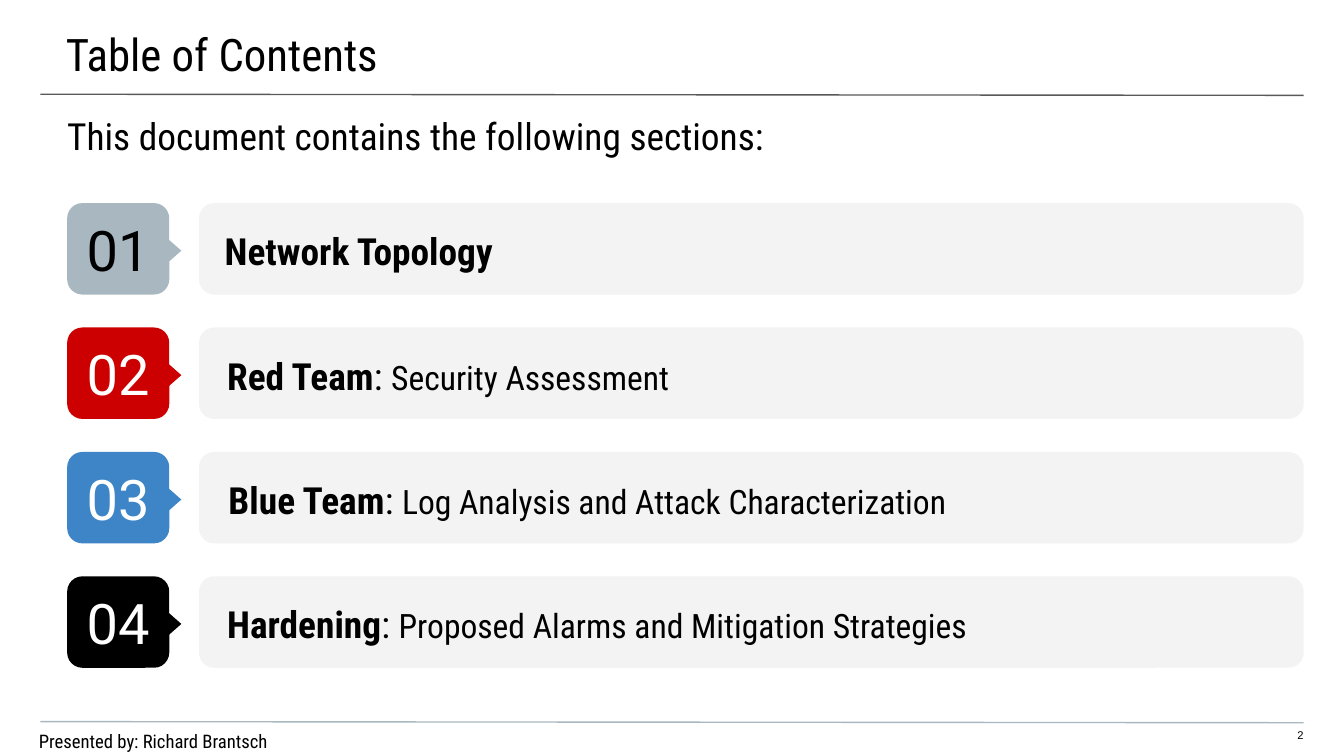
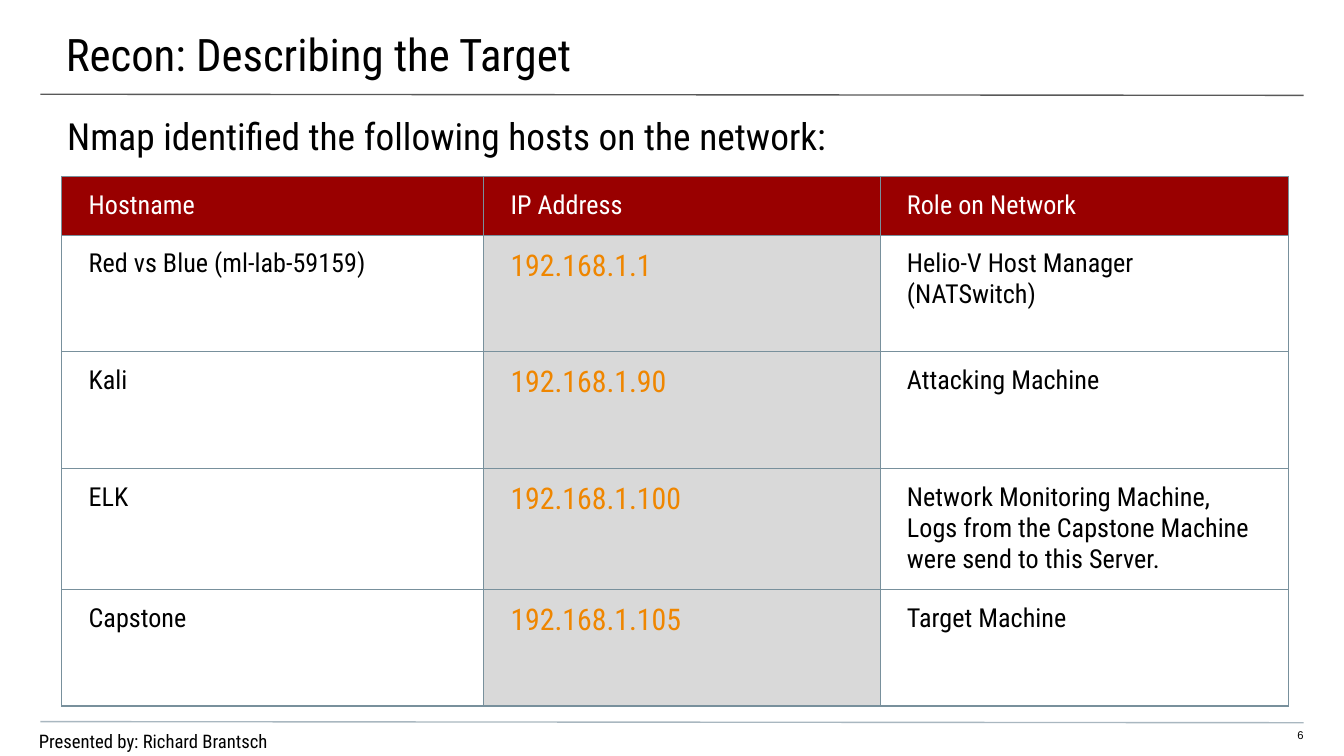
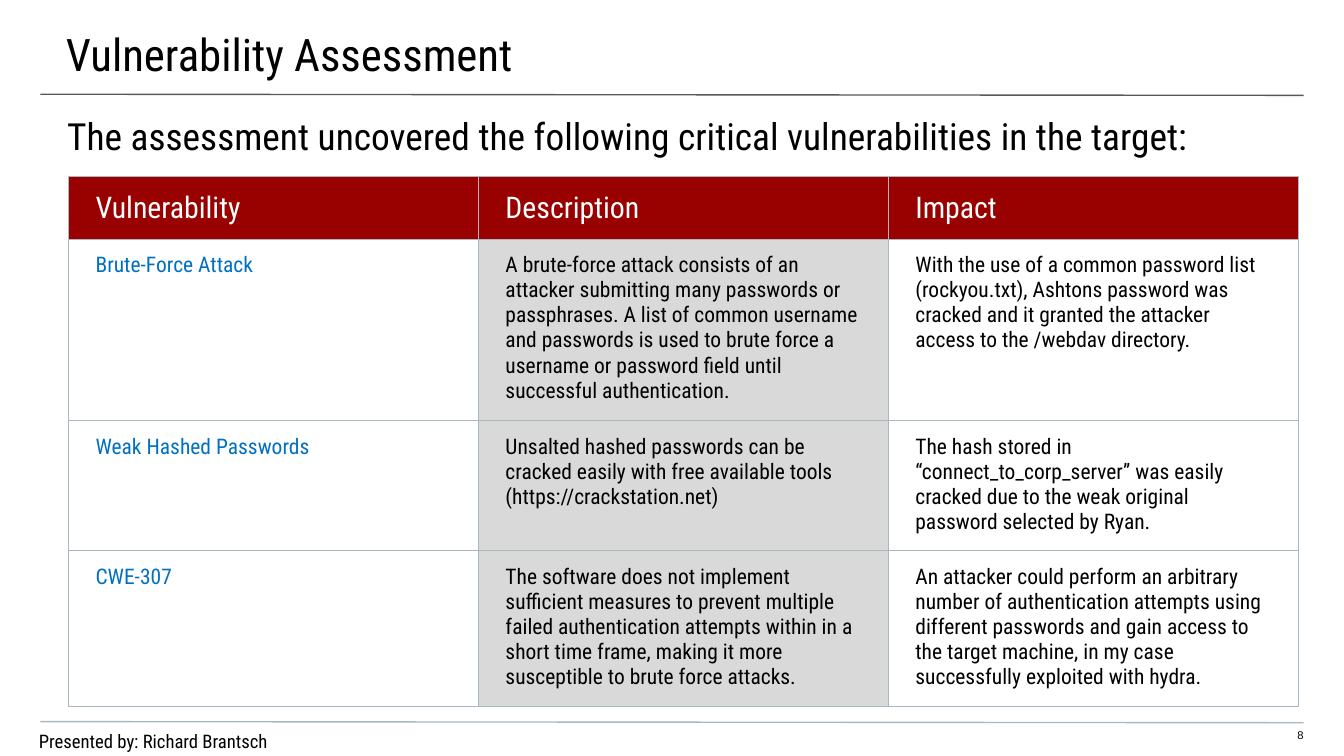
from dataclasses import dataclass

from pptx import Presentation
from pptx.dml.color import RGBColor as Rgb
from pptx.enum.shapes import MSO_CONNECTOR as Connector, MSO_SHAPE as Preset
from pptx.enum.text import MSO_ANCHOR as Anchor, PP_ALIGN as Align
from pptx.oxml import parse_xml
from pptx.oxml.ns import nsdecls
from pptx.util import Pt


@dataclass(frozen=True)
class Theme:
    black: str = "000000"
    white: str = "FFFFFF"
    title_rule: str = "595959"
    mist: str = "A9B7C0"
    panel: str = "F3F3F3"
    red: str = "CC0000"
    blue: str = "3D85C6"
    header: str = "990000"
    shaded: str = "D9D9D9"
    slate: str = "78909C"
    address: str = "EF8600"
    weakness: str = "0070C0"
    condensed: str = "Roboto Condensed"
    number: str = "Roboto"
    plain: str = "Arial"
    title_size: float = 24
    lead_size: float = 20
    detail_size: float = 18
    badge_size: float = 30
    footer_size: float = 10
    page_size: float = 6
    rule_width: float = 0.75


THEME = Theme()
PRESENTER = "Presented by: Richard Brantsch"

CONTENTS = {
    "title": "Table of Contents",
    "lead": "This document contains the following sections:",
    "page": "2",
    "sections": [
        ("01", "Network Topology", "", THEME.mist, THEME.black, -2),
        ("02", "Red Team", "Security Assessment", THEME.red, THEME.white, -0.7),
        ("03", "Blue Team", "Log Analysis and Attack Characterization", THEME.blue, THEME.white, 0),
        ("04", "Hardening", "Proposed Alarms and Mitigation Strategies", THEME.black, THEME.white, -0.7),
    ],
}

HOSTS = {
    "title": "Recon: Describing the Target",
    "lead": "Nmap identified the following hosts on the network:",
    "page": "6",
    "left": 33.1,
    "widths": [226, 212.4, 219],
    "heights": [31.4, 62.5, 62.5, 62.5, 62.5],
    "border": THEME.slate,
    "header_size": 14,
    "columns": [(14, THEME.black), (16, THEME.address), (14, THEME.black)],
    "rows": [
        ("Hostname", "IP Address", "Role on Network"),
        ("Red vs Blue (ml-lab-59159)", "192.168.1.1", "Helio-V Host Manager (NATSwitch)"),
        ("Kali", "192.168.1.90", "Attacking Machine"),
        ("ELK", "192.168.1.100",
         "Network Monitoring Machine, Logs from the Capstone Machine were send to this Server."),
        ("Capstone", "192.168.1.105", "Target Machine"),
    ],
}

VULNERABILITIES = {
    "title": "Vulnerability Assessment",
    "lead": "The assessment uncovered the following critical vulnerabilities in the target:",
    "page": "8",
    "left": 36.8,
    "widths": [219.6] * 3,
    "heights": [31, 62, 54, 54],
    "border": THEME.mist,
    "header_size": 16,
    "columns": [(11.5, THEME.weakness), (11.5, THEME.black), (11.5, THEME.black)],
    "rows": [
        ("Vulnerability", "Description", "Impact"),
        ("Brute-Force Attack",
         "A brute-force attack consists of an attacker submitting many passwords or passphrases. "
         "A list of common username and passwords is used to brute force a username or password "
         "field until successful authentication.",
         "With the use of a common password list (rockyou.txt), Ashtons password was cracked and "
         "it granted the attacker access to the /webdav directory."),
        ("Weak Hashed Passwords",
         "Unsalted hashed passwords can be cracked easily with free available tools "
         "(https://crackstation.net)",
         "The hash stored in “connect_to_corp_server” was easily cracked due to the weak original "
         "password selected by Ryan."),
        ("CWE-307",
         "The software does not implement sufficient measures to prevent multiple failed "
         "authentication attempts within in a short time frame, making it more susceptible to "
         "brute force attacks.",
         "An attacker could perform an arbitrary number of authentication attempts using different "
         "passwords and gain access to the target machine, in my case successfully exploited with "
         "hydra."),
    ],
}

SIDES = ("left", "top", "right", "bottom")
SECTION_TOP, SECTION_PITCH, SECTION_HEIGHT = 108.8, 66.65, 49
TABLE_TOP = 94.6


def points(*lengths):
    return [Pt(length) for length in lengths]


def assign(target, **formats):
    for attribute, value in formats.items():
        setattr(target, attribute, value)


def margins(*insets):
    return {f"margin_{side}": Pt(inset) for side, inset in zip(SIDES, insets)}


def write(paragraph, wording, size, color=THEME.black, face=THEME.condensed, bold=False):
    run = paragraph.add_run()
    run.text = wording
    assign(run.font, size=Pt(size), name=face, bold=bold)
    run.font.color.rgb = Rgb.from_string(color)


def add_text(slide, box, insets, runs, anchor=Anchor.TOP, **layout):
    frame = slide.shapes.add_textbox(*points(*box)).text_frame
    assign(frame, word_wrap=True, vertical_anchor=anchor, **margins(*insets))
    assign(frame.paragraphs[0], **layout)
    for run in runs:
        write(frame.paragraphs[0], **run)


def add_solid(shapes, preset, box, color):
    solid = shapes.add_shape(preset, *points(*box))
    solid.shadow.inherit = False
    solid.fill.solid()
    solid.fill.fore_color.rgb = Rgb.from_string(color)
    solid.line.fill.background()
    return solid


def add_rule(slide, top, color):
    rule = slide.shapes.add_connector(Connector.STRAIGHT, *points(21.6, top, 698.4, top + 0.6))
    rule.line.width = Pt(THEME.rule_width)
    rule.line.color.rgb = Rgb.from_string(color)
    rule._element.spPr.append(parse_xml(f"<a:effectLst {nsdecls('a')}/>"))


def add_page(deck, content):
    slide = deck.slides.add_slide(deck.slide_layouts[6])
    add_rule(slide, 50.5, THEME.title_rule)
    add_rule(slide, 386.6, THEME.mist)
    add_text(slide, (-0.7, 0, 722, 41.8), (36, 14.4, 21.6, 7.2),
             [dict(wording=content["title"], size=THEME.title_size)])
    add_text(slide, (0, 53.3, 720, 28.8), (36, 7.2, 36, 0),
             [dict(wording=content["lead"], size=THEME.lead_size)])
    add_text(slide, (-0.7, 387.4, 628, 17.6), (21.6, 3.6, 0, 0),
             [dict(wording=PRESENTER, size=THEME.footer_size)])
    add_text(slide, (677.5, 390.2, 20.9, 8.6), (0, 0, 0, 7.2),
             [dict(wording=content["page"], size=THEME.page_size, face=THEME.plain)],
             alignment=Align.RIGHT)
    return slide


def add_section(slide, top, number, name, detail, color, ink, left):
    add_solid(slide.shapes, Preset.ROUNDED_RECTANGLE, (106.6, top, 591.8, SECTION_HEIGHT), THEME.panel)
    marker = slide.shapes.add_group_shape().shapes
    badge = add_solid(marker, Preset.ROUNDED_RECTANGLE, (36, top, 54.7, SECTION_HEIGHT), color)
    assign(badge.text_frame, vertical_anchor=Anchor.MIDDLE, **margins(*[7.2] * 4))
    badge.text_frame.paragraphs[0].alignment = Align.CENTER
    write(badge.text_frame.paragraphs[0], number, THEME.badge_size, ink, THEME.number)
    pointer = add_solid(marker, Preset.FLOWCHART_EXTRACT, (76.3, top + 18, 26.6, 15.1), color)
    pointer.rotation = 90

    runs = [dict(wording=name, size=THEME.lead_size, bold=True)]
    if detail:
        runs += [dict(wording=": ", size=THEME.lead_size),
                 dict(wording=detail, size=THEME.detail_size)]
    add_text(slide, (left, top, 722, 47.5), (122.4, 0, 36, 0), runs,
             anchor=Anchor.MIDDLE, line_spacing=1.15)


def outline(cell, color):
    for side in "LRTB":
        cell._tc.get_or_add_tcPr().append(parse_xml(
            f'<a:ln{side} {nsdecls("a")} w="{Pt(THEME.rule_width)}"><a:solidFill>'
            f'<a:srgbClr val="{color}"/></a:solidFill></a:ln{side}>'))


def add_findings(slide, content):
    rows, widths, heights = (content[part] for part in ("rows", "widths", "heights"))
    box = points(content["left"], TABLE_TOP, sum(widths), sum(heights))
    findings = slide.shapes.add_table(len(rows), len(widths), *box).table
    assign(findings, first_row=False, horz_banding=False)
    for column, width in zip(findings.columns, widths):
        column.width = Pt(width)
    for row, height in zip(findings.rows, heights):
        row.height = Pt(height)
    for row, entries in enumerate(rows):
        for column, entry in enumerate(entries):
            size, ink = content["columns"][column]
            fill = THEME.shaded if column == 1 else None
            anchor = Anchor.TOP
            if row == 0:
                size, ink, fill, anchor = content["header_size"], THEME.white, THEME.header, Anchor.MIDDLE
            cell = findings.cell(row, column)
            assign(cell, vertical_anchor=anchor, **margins(14.4, 7.2, 14.4, 7.2))
            outline(cell, content["border"])
            if fill:
                cell.fill.solid()
                cell.fill.fore_color.rgb = Rgb.from_string(fill)
            else:
                cell.fill.background()
            write(cell.text_frame.paragraphs[0], entry, size, ink)


def main():
    deck = Presentation()
    assign(deck, slide_width=Pt(720), slide_height=Pt(405))
    contents_page = add_page(deck, CONTENTS)
    for order, section in enumerate(CONTENTS["sections"]):
        add_section(contents_page, SECTION_TOP + order * SECTION_PITCH, *section)
    for content in (HOSTS, VULNERABILITIES):
        add_findings(add_page(deck, content), content)
    deck.save("out.pptx")


if __name__ == "__main__":
    main()
